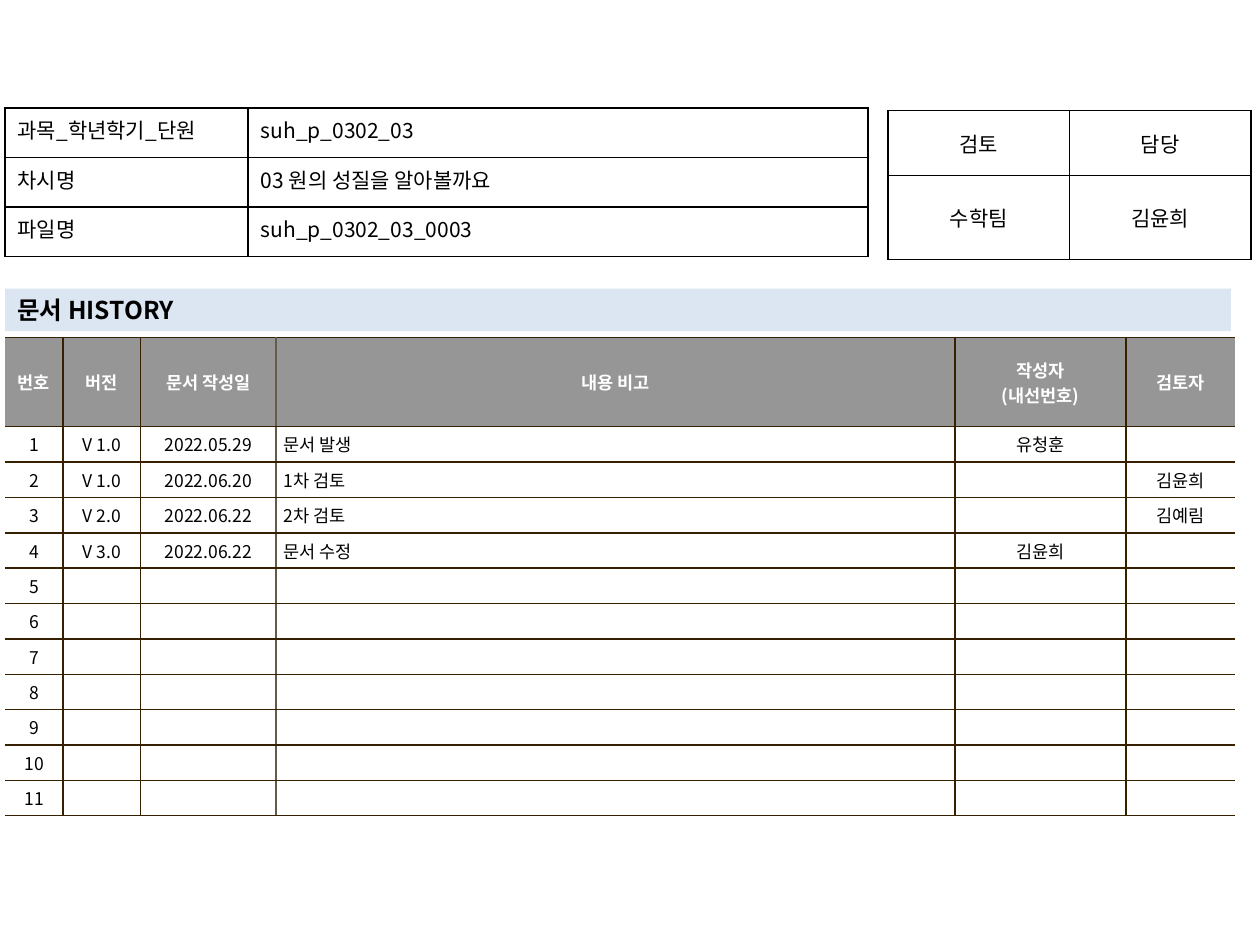
"""Build the document history slide with its info, sign-off and history tables."""
from lxml import etree
from pptx import Presentation
from pptx.dml.color import RGBColor
from pptx.enum.shapes import MSO_SHAPE
from pptx.enum.text import MSO_ANCHOR, PP_ALIGN
from pptx.oxml.ns import qn
from pptx.util import Pt

LEFT, MID, JUST = PP_ALIGN.LEFT, PP_ALIGN.CENTER, PP_ALIGN.JUSTIFY
TOP, CENTER = MSO_ANCHOR.TOP, MSO_ANCHOR.MIDDLE
RECT = MSO_SHAPE.RECTANGLE
THEME = {
    "font": "Noto Sans CJK KR", "black": "000000", "white": "FFFFFF",
    "head": "969696", "band": "DCE6F2", "rule": "362000", "soft": "645B4C",
    "small": 10, "body": 12, "title": 14,
}


def write(frame, text, size, color, bold=False, align=LEFT):
    frame.text = text
    for para in frame.paragraphs:
        para.alignment = align
        for run in para.runs:
            style = {"name": THEME["font"], "size": Pt(size), "bold": bold}
            for key, value in style.items():
                setattr(run.font, key, value)
            run.font.color.rgb = RGBColor.from_string(color)
            east = etree.SubElement(run._r.get_or_add_rPr(), qn("a:ea"))
            east.set("typeface", THEME["font"])
        if not para.runs:
            end = etree.SubElement(para._p, qn("a:endParaRPr"))
            end.set("sz", str(size * 100))


def edge(cell, sides):
    props = cell._tc.get_or_add_tcPr()
    for spot, (side, color) in enumerate(sides.items()):
        line = etree.Element(qn("a:ln" + side), w=str(Pt(1)))
        if color:
            fill = etree.SubElement(line, qn("a:solidFill"))
            etree.SubElement(fill, qn("a:srgbClr"), val=color)
        else:
            etree.SubElement(line, qn("a:noFill"))
        props.insert(spot, line)


deck = Presentation()
deck.slide_width, deck.slide_height = Pt(720), Pt(540)
slide = deck.slides.add_slide(deck.slide_layouts[6])

filled = [
    ("V 1.0", "2022.05.29", "문서 발생", "유청훈", ""),
    ("V 1.0", "2022.06.20", "1차 검토", "", "김윤희"),
    ("V 2.0", "2022.06.22", "2차 검토", "", "김예림"),
    ("V 3.0", "2022.06.22", "문서 수정", "김윤희", ""),
]
filled += [("",) * 5] * 7
history = [("번호", "버전", "문서 작성일", "내용 비고", "작성자\n(내선번호)", "검토자")]
history += [(str(num), *row) for num, row in enumerate(filled, 1)]
signoff = [("검토", "담당"), ("수학팀", "김윤희")]
info = [
    ("과목_학년학기_단원", "suh_p_0302_03"),
    ("차시명", "03 원의 성질을 알아볼까요"),
    ("파일명", "suh_p_0302_03_0003"),
]

tables = [
    {"rows": history, "at": (2.9, 192.8), "wide": [33.1, 44.3, 77.6, 388, 97.7, 62.5],
     "high": [51] + [20.1] * 11, "align": [MID, MID, MID, LEFT, MID, MID],
     "anchor": CENTER, "pad": (4.3, 2.9), "size": THEME["small"], "log": True},
    {"rows": signoff, "at": (507.5, 63.2), "wide": [103.7] * 2, "high": [37.1, 47.9],
     "align": [MID, MID], "anchor": CENTER, "pad": (7.2, 3.6),
     "size": THEME["body"], "log": False},
    {"rows": info, "at": (2.9, 61.8), "wide": [138.9, 354.3], "high": [28.3] * 3,
     "align": [JUST, LEFT], "anchor": TOP, "pad": (7.2, 3.6),
     "size": THEME["body"], "log": False},
]

for plan in tables:
    rows, wide, high, log = (plan[key] for key in ("rows", "wide", "high", "log"))
    box = (*plan["at"], sum(wide), sum(high))
    grid = slide.shapes.add_table(len(rows), len(wide), *map(Pt, box)).table
    grid.first_row = grid.horz_banding = False
    for col, width in zip(grid.columns, wide):
        col.width = Pt(width)
    for row, height in zip(grid.rows, high):
        row.height = Pt(height)
    side, end = map(Pt, plan["pad"])
    layout = {"margin_left": side, "margin_right": side, "margin_top": end,
              "margin_bottom": end, "vertical_anchor": plan["anchor"]}
    ink = THEME["rule"] if log else THEME["black"]
    for r, texts in enumerate(rows):
        head = log and r == 0
        for c, text in enumerate(texts):
            cell = grid.cell(r, c)
            for key, value in layout.items():
                setattr(cell, key, value)
            align = MID if head else plan["align"][c]
            color = THEME["white" if head else "black"]
            write(cell.text_frame, text, plan["size"], color, head, align)
            lines = dict.fromkeys("LRTB", ink)
            if log:
                cell.fill.solid()
                cell.fill.fore_color.rgb = RGBColor.from_string(THEME["head" if head else "white"])
                lines["L"] = {0: None, 3: THEME["soft"]}.get(c, ink)
                lines["R"] = {2: THEME["soft"], 5: None}.get(c, ink)
            else:
                cell.fill.background()
            edge(cell, lines)

band = slide.shapes.add_shape(RECT, Pt(2.9), Pt(165), Pt(700.5), Pt(24.2))
band.shadow.inherit = False
band.fill.solid()
band.fill.fore_color.rgb = RGBColor.from_string(THEME["band"])
band.line.fill.background()
band.text_frame.word_wrap = True
write(band.text_frame, "문서 HISTORY", THEME["title"], THEME["black"], True)

deck.save("out.pptx")
